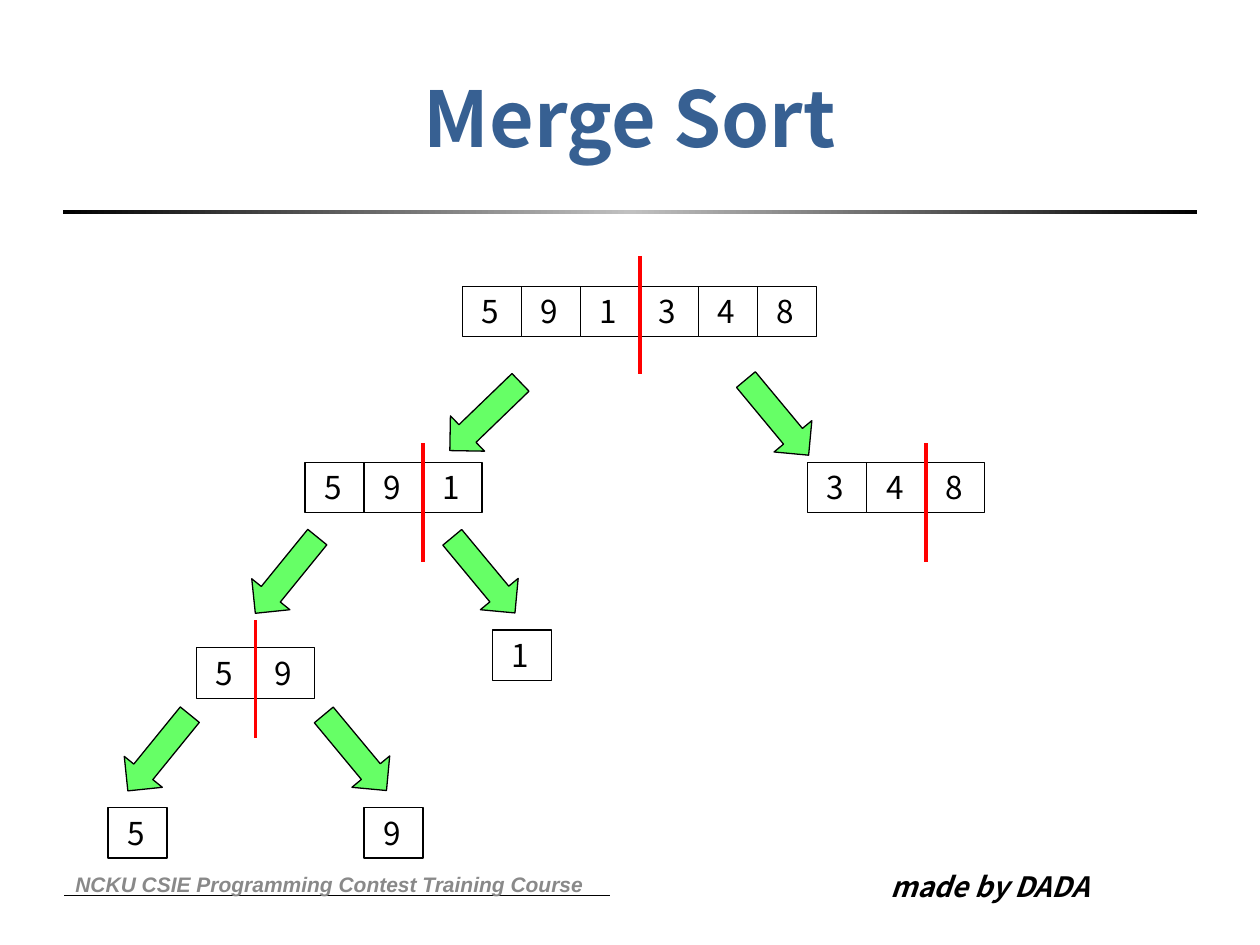
from copy import deepcopy
from dataclasses import dataclass

from lxml import etree
from pptx import Presentation
from pptx.dml.color import RGBColor
from pptx.enum.shapes import MSO_CONNECTOR, MSO_SHAPE
from pptx.enum.text import MSO_ANCHOR, MSO_AUTO_SIZE, PP_ALIGN
from pptx.oxml.ns import qn
from pptx.util import Cm, Pt

RECTANGLE = MSO_SHAPE.RECTANGLE
RIGHT_ARROW = MSO_SHAPE.RIGHT_ARROW
STRAIGHT = MSO_CONNECTOR.STRAIGHT
TOP = MSO_ANCHOR.TOP
MIDDLE = MSO_ANCHOR.MIDDLE
LEFT = PP_ALIGN.LEFT
CENTER = PP_ALIGN.CENTER
GROW = MSO_AUTO_SIZE.SHAPE_TO_FIT_TEXT
FIXED = MSO_AUTO_SIZE.NONE

CELL_WIDTH, CELL_HEIGHT = 1.19, 1.02
DIVIDER_LENGTH = 2.38
ARROW_WIDTH, ARROW_HEIGHT = 1.98, 0.99

ROWS = [
    (9.32, 5.77, "591348"),
    (6.15, 9.32, "591"),
    (16.28, 9.32, "348"),
    (9.93, 12.7, "1"),
    (3.96, 13.06, "59"),
    (2.18, 16.28, "5"),
    (7.34, 16.28, "9"),
]
DIVIDERS = [(12.9, 5.16), (8.53, 8.94), (18.66, 8.94), (5.15, 12.5)]
ARROWS = [
    (14.68, 7.92, 50.3),
    (8.79, 7.9, 136),
    (8.76, 11.1, 50.3),
    (4.78, 11.1, 129.1),
    (6.17, 14.68, 50.3),
    (2.21, 14.68, 129.1),
]


@dataclass
class Theme:
    body_font: str = "Noto Sans CJK SC"
    footer_font: str = "Arial"
    black: str = "000000"
    white: str = "FFFFFF"
    silver: str = "C0C0C0"
    title_color: str = "376092"
    footer_color: str = "898989"
    divider_color: str = "FF0000"
    arrow_color: str = "66FF66"
    title_size: float = 44
    cell_size: float = 18
    credit_size: float = 16
    footer_size: float = 12
    outline: float = 0.75
    footer_line: float = 0.5
    divider_line: float = 2.25


class SlideBuilder:
    """Draws styled elements on the current slide."""

    def __init__(self, slide, theme):
        self.slide = slide
        self.theme = theme

    def set_text(self, shape, text, size, color, font=None, bold=False, italic=False,
                 align=LEFT, anchor=TOP, auto_size=FIXED):
        frame = shape.text_frame
        frame.text = text
        frame.word_wrap = True
        frame.auto_size = auto_size
        frame.vertical_anchor = anchor
        paragraph = frame.paragraphs[0]
        paragraph.alignment = align
        run_font = paragraph.runs[0].font
        run_font.name = font or self.theme.body_font
        run_font.size = Pt(size)
        run_font.bold = bold
        run_font.italic = italic
        run_font.color.rgb = RGBColor.from_string(color)

    def title(self, text):
        shape = self.slide.shapes.title
        shape.left, shape.top, shape.width, shape.height = Cm(1.27), Cm(0.76), Cm(22.86), Cm(3.18)
        self.set_text(shape, text, self.theme.title_size, self.theme.title_color,
                      bold=True, align=CENTER, anchor=MIDDLE)

    def label(self, left, top, width, height, text, size, color, **style):
        box = self.slide.shapes.add_textbox(Cm(left), Cm(top), Cm(width), Cm(height))
        self.set_text(box, text, size, color, bold=True, italic=True, **style)

    def shape(self, shapes, kind, left, top, width, height, fill):
        shape = shapes.add_shape(kind, Cm(left), Cm(top), Cm(width), Cm(height))
        shape.shadow.inherit = False
        shape.fill.solid()
        shape.fill.fore_color.rgb = RGBColor.from_string(fill)
        shape.line.color.rgb = RGBColor.from_string(self.theme.black)
        shape.line.width = Pt(self.theme.outline)
        return shape

    def gradient_rule(self, left, top, width, height):
        rule = self.shape(self.slide.shapes, RECTANGLE, left, top, width, height, self.theme.black)
        rule.line.fill.background()
        rule.fill.gradient()
        rule.fill.gradient_angle = 0
        stops = rule._element.spPr.find(qn("a:gradFill")).find(qn("a:gsLst"))
        stops.insert(1, deepcopy(stops[0]))
        colors = (self.theme.black, self.theme.silver, self.theme.black)
        for stop, position, color in zip(rule.fill.gradient_stops, (0, 0.5, 1), colors):
            stop.position = position
            stop.color.rgb = RGBColor.from_string(color)

    def line(self, start_x, start_y, end_x, end_y, color, width):
        connector = self.slide.shapes.add_connector(
            STRAIGHT, Cm(start_x), Cm(start_y), Cm(end_x), Cm(end_y))
        connector.line.color.rgb = RGBColor.from_string(color)
        connector.line.width = Pt(width)
        etree.SubElement(connector._element.spPr, qn("a:effectLst"))

    def row(self, left, top, digits):
        shapes = self.slide.shapes
        if len(digits) > 1:
            shapes = shapes.add_group_shape().shapes
        for index, digit in enumerate(digits):
            cell = self.shape(shapes, RECTANGLE, left + index * CELL_WIDTH, top,
                              CELL_WIDTH, CELL_HEIGHT, self.theme.white)
            self.set_text(cell, f" {digit}", self.theme.cell_size, self.theme.black,
                          auto_size=GROW)

    def divider(self, x, top):
        self.line(x, top, x, top + DIVIDER_LENGTH,
                  self.theme.divider_color, self.theme.divider_line)

    def arrow(self, left, top, rotation):
        arrow = self.shape(self.slide.shapes, RIGHT_ARROW, left, top,
                           ARROW_WIDTH, ARROW_HEIGHT, self.theme.arrow_color)
        arrow.rotation = rotation


def main():
    presentation = Presentation()
    presentation.slide_width = Cm(25.4)
    presentation.slide_height = Cm(19.05)
    theme = Theme()
    slide = presentation.slides.add_slide(presentation.slide_layouts[5])
    builder = SlideBuilder(slide, theme)

    builder.gradient_rule(1.27, 4.24, 22.86, 0.08)
    builder.line(1.3, 18.06, 12.29, 18.06, theme.black, theme.footer_line)
    builder.label(17.7, 17.4, 6.4, 0.94, "made by DADA",
                  theme.credit_size, theme.black, auto_size=GROW)
    builder.label(1.27, 17.32, 10.82, 1.02, "NCKU CSIE Programming Contest Training Course",
                  theme.footer_size, theme.footer_color, font=theme.footer_font, anchor=MIDDLE)
    builder.title("Merge Sort")
    for row in ROWS:
        builder.row(*row)
    for divider in DIVIDERS:
        builder.divider(*divider)
    for arrow in ARROWS:
        builder.arrow(*arrow)

    presentation.save("out.pptx")


if __name__ == "__main__":
    main()
